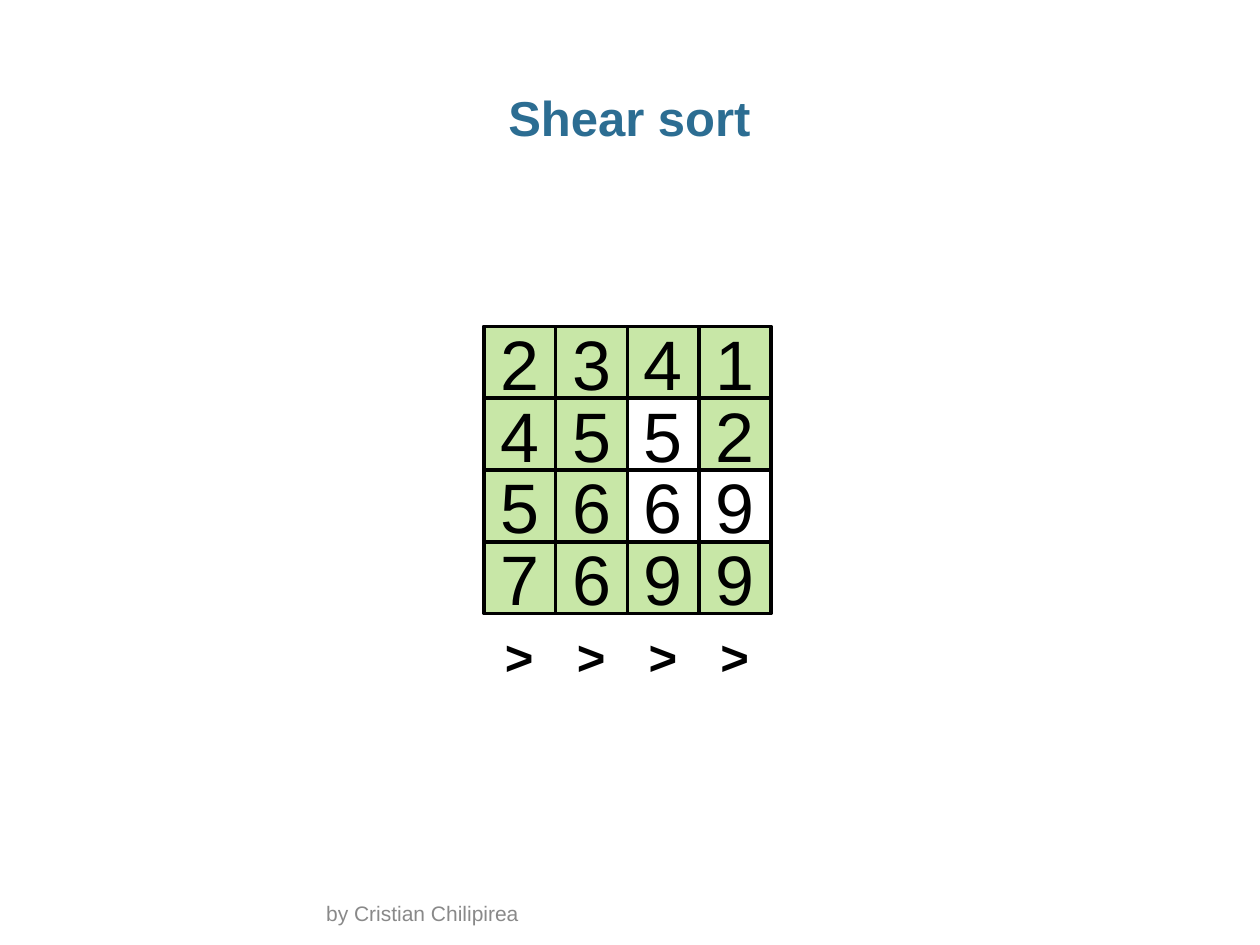
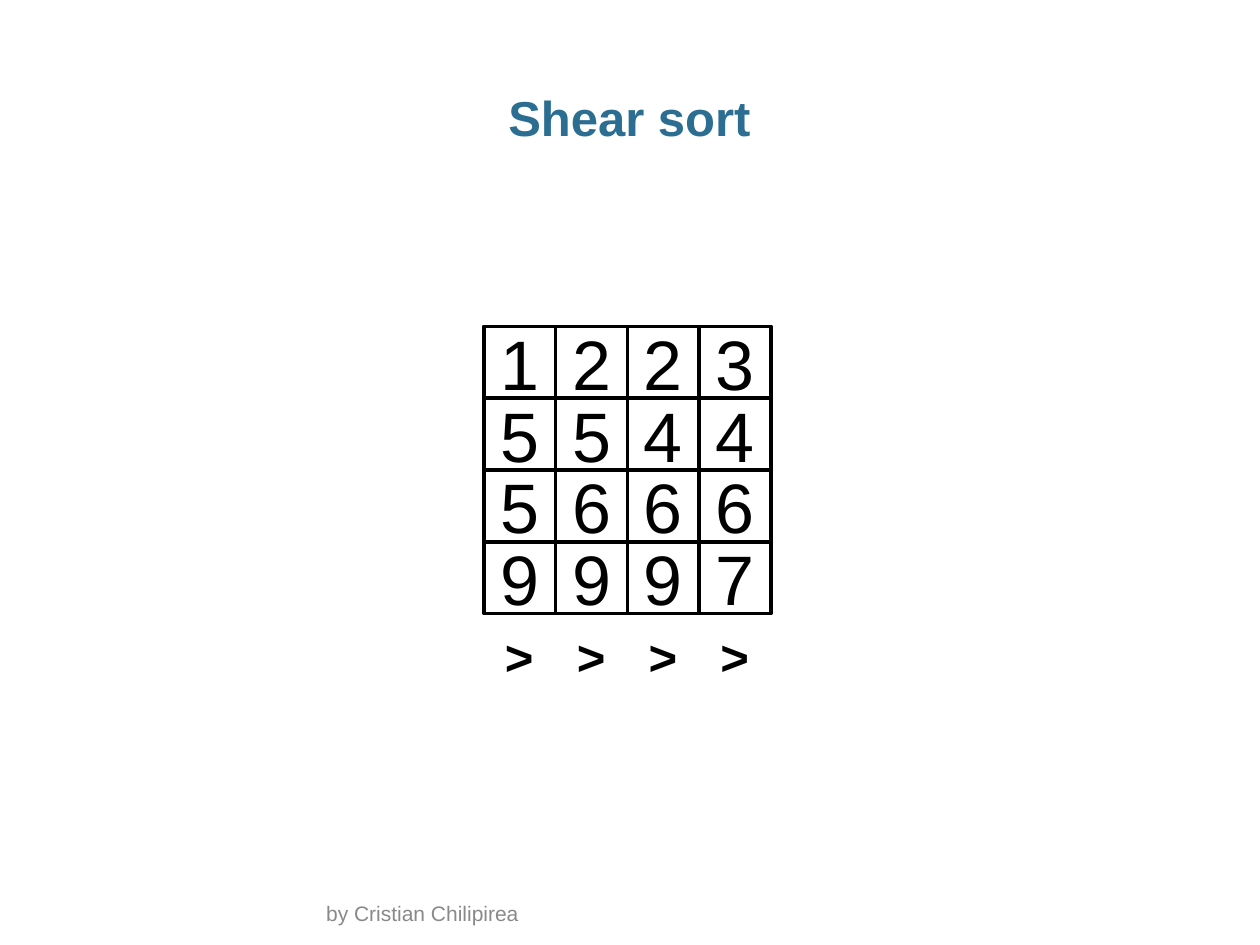
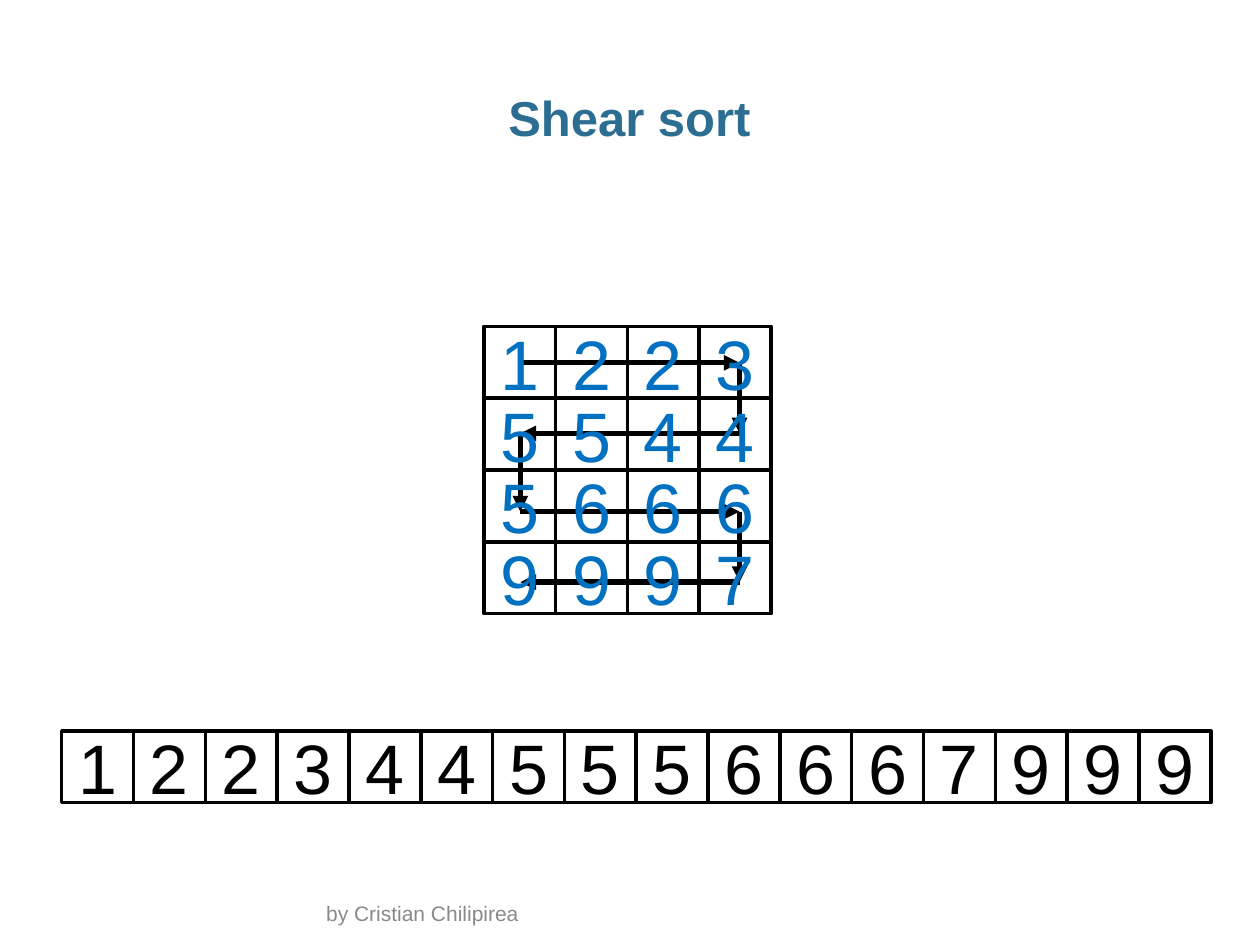
from itertools import pairwise

from lxml.etree import SubElement
from pptx import Presentation
from pptx.dml.color import RGBColor
from pptx.enum.shapes import MSO_CONNECTOR, MSO_SHAPE
from pptx.enum.text import MSO_ANCHOR, MSO_AUTO_SIZE, PP_ALIGN
from pptx.oxml.ns import qn
from pptx.util import Inches, Pt

FONT = "Arial"
BLACK, GRAY, TEAL, BLUE, GREEN = "000000", "898989", "2C6D92", "0070C0", "92D050"
CELL = 0.57
GRID_LEFT, GRID_TOP = 3.84, 2.59
STRIP_LEFT, STRIP_TOP = 0.49, 5.8
SIGN_LEFT, SIGN_TOP, SIGN_WIDTH = 3.91, 4.92, 0.43

PARTLY_SORTED = ["2341", "4552", "5669", "7699"]
UNSHADED = {(1, 2), (2, 2), (2, 3)}
SORTED = ["1223", "5544", "5666", "9997"]
SNAKE_LEFT, SNAKE_RIGHT = 4.13, 5.87
SNAKE_ROWS = [2.88, 3.44, 4.06, 4.62]


def rgb(color):
    return RGBColor.from_string(color)


def snake(rows):
    """Order each row's items left to right and right to left in turn."""
    return [item for number, row in enumerate(rows)
            for item in (row[::-1] if number % 2 else row)]


class Deck:
    def __init__(self):
        self.presentation = Presentation()
        self.presentation.slide_width = Inches(10)
        self.presentation.slide_height = Inches(7.5)
        self.slide = None

    def add_text(self, frame, text, size, color, bold=False, align=PP_ALIGN.LEFT):
        paragraph = frame.paragraphs[0]
        paragraph.alignment = align
        run = paragraph.add_run()
        run.text = text
        run.font.name = FONT
        run.font.size = Pt(size)
        run.font.bold = bold
        run.font.color.rgb = rgb(color)
        return paragraph

    def add_slide(self, heading):
        self.slide = self.presentation.slides.add_slide(self.presentation.slide_layouts[5])
        title = self.slide.shapes.title
        title.left, title.top = Inches(0.34), Inches(0.68)
        title.width, title.height = Inches(9.31), Inches(0.5)
        frame = title.text_frame
        frame.margin_left = frame.margin_right = 0
        frame.vertical_anchor = MSO_ANCHOR.TOP
        frame.auto_size = MSO_AUTO_SIZE.NONE
        self.add_text(frame, heading, 28, TEAL, True, PP_ALIGN.CENTER).line_spacing = 0.95
        self.text_box("by Cristian Chilipirea", 2.49, 7.16, 5.02, 0.24, 12, GRAY,
                      anchor=MSO_ANCHOR.BOTTOM)

    def text_box(self, text, left, top, width, height, size, color,
                 bold=False, wrap=True, anchor=MSO_ANCHOR.TOP):
        box = self.slide.shapes.add_textbox(
            Inches(left), Inches(top), Inches(width), Inches(height))
        box.text_frame.word_wrap = wrap
        box.text_frame.vertical_anchor = anchor
        self.add_text(box.text_frame, text, size, color, bold)

    def cell(self, digit, left, top, color=BLACK, shaded=False):
        square = self.slide.shapes.add_shape(
            MSO_SHAPE.RECTANGLE, Inches(left), Inches(top), Inches(CELL), Inches(CELL))
        square.shadow.inherit = False
        square.line.color.rgb = rgb(BLACK)
        square.line.width = Pt(2)
        if shaded:
            square.fill.solid()
            square.fill.fore_color.rgb = rgb(GREEN)
            tint = square.element.spPr.find(f"{qn('a:solidFill')}/{qn('a:srgbClr')}")
            SubElement(tint, qn("a:alpha"), val="50000")
        else:
            square.fill.background()
        square.text_frame.vertical_anchor = MSO_ANCHOR.MIDDLE
        self.add_text(square.text_frame, digit, 40, color, align=PP_ALIGN.CENTER)

    def cells(self, rows, left, top, color=BLACK, shaded=False, unshaded=()):
        for r, row in enumerate(rows):
            for c, digit in enumerate(row):
                self.cell(digit, left + c * CELL, top + r * CELL, color,
                          shaded and (r, c) not in unshaded)

    def column_signs(self):
        for column in range(4):
            self.text_box(">", SIGN_LEFT + column * CELL, SIGN_TOP, SIGN_WIDTH, CELL,
                          28, BLACK, bold=True, wrap=False)

    def arrow(self, start, end):
        line = self.slide.shapes.add_connector(
            MSO_CONNECTOR.STRAIGHT, *map(Inches, start), *map(Inches, end))
        line.line.color.rgb = rgb(BLACK)
        line.line.width = Pt(3)
        properties = line.element.spPr
        SubElement(properties.find(qn("a:ln")), qn("a:tailEnd"), type="triangle")
        SubElement(properties, qn("a:effectLst"))


def main():
    deck = Deck()

    deck.add_slide("Shear sort")
    deck.cells(PARTLY_SORTED, GRID_LEFT, GRID_TOP, shaded=True, unshaded=UNSHADED)
    deck.column_signs()

    deck.add_slide("Shear sort")
    deck.cells(SORTED, GRID_LEFT, GRID_TOP)
    deck.column_signs()

    deck.add_slide("Shear sort")
    turns = snake([[(SNAKE_LEFT, y), (SNAKE_RIGHT, y)] for y in SNAKE_ROWS])
    for start, end in pairwise(turns):
        deck.arrow(start, end)
    deck.cells(SORTED, GRID_LEFT, GRID_TOP, BLUE)
    deck.cells([snake(SORTED)], STRIP_LEFT, STRIP_TOP)

    deck.presentation.save("out.pptx")


if __name__ == "__main__":
    main()
